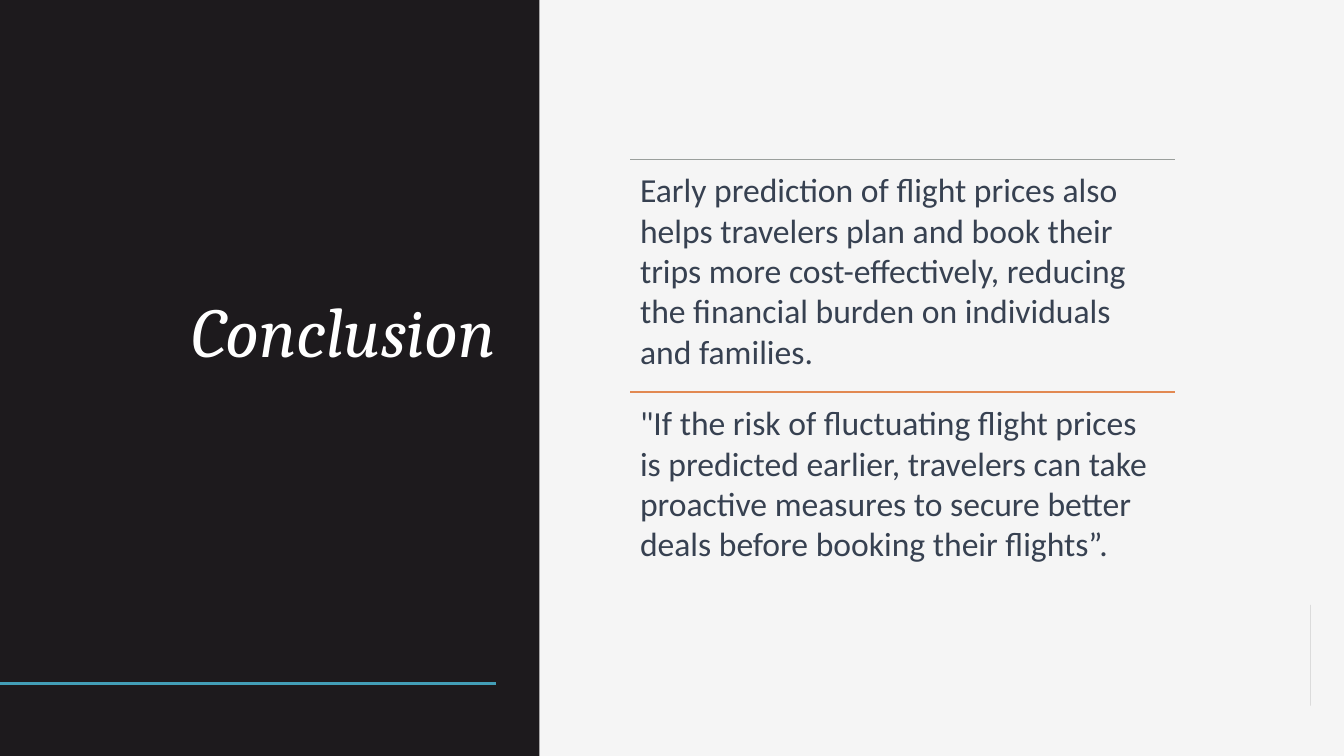
from math import cos, pi, sin

from lxml import etree
from pptx import Presentation
from pptx.dml.color import RGBColor
from pptx.enum.shapes import MSO_CONNECTOR, MSO_SHAPE
from pptx.enum.text import MSO_ANCHOR, PP_ALIGN
from pptx.oxml.ns import qn
from pptx.util import Inches, Pt

STRAIGHT = MSO_CONNECTOR.STRAIGHT
RECTANGLE = MSO_SHAPE.RECTANGLE
TOP, MIDDLE, BOTTOM = MSO_ANCHOR.TOP, MSO_ANCHOR.MIDDLE, MSO_ANCHOR.BOTTOM
LEFT, RIGHT = PP_ALIGN.LEFT, PP_ALIGN.RIGHT

PAPER = RGBColor(0xF5, 0xF5, 0xF5)
PANEL = RGBColor(0x1D, 0x1A, 0x1D)
BADGE = RGBColor(0x26, 0x26, 0x26)
TEAL = RGBColor(0x43, 0x9E, 0xB7)
GREY = RGBColor(0x9A, 0x9F, 0x9C)
ORANGE = RGBColor(0xE2, 0x89, 0x52)
WHITE = RGBColor(0xFF, 0xFF, 0xFF)
SLATE = RGBColor(0x37, 0x41, 0x51)

SLIDE_WIDTH, SLIDE_HEIGHT = 13.33, 7.5
BASELINE = 6.78
CONCLUSIONS = [
    ("Early prediction of flight prices also helps travelers plan and book their "
     "trips more cost-effectively, reducing the financial burden on individuals "
     "and families.", GREY),
    ("\"If the risk of fluctuating flight prices is predicted earlier, travelers "
     "can take proactive measures to secure better deals before booking their "
     "flights”.", ORANGE),
]


def add_rule(slide, left, top, width, color, weight):
    rule = slide.shapes.add_connector(
        STRAIGHT, Inches(left), Inches(top), Inches(left + width), Inches(top))
    rule.line.color.rgb = color
    rule.line.width = Pt(weight)
    etree.SubElement(rule.line._get_or_add_ln().getparent(), qn("a:effectLst"))


def add_text(slide, box, text, font, size, color, align=LEFT, anchor=TOP,
             italic=False, margin=0.05, spacing=1.0):
    frame = slide.shapes.add_textbox(*map(Inches, box)).text_frame
    frame.word_wrap = True
    frame.vertical_anchor = anchor
    frame.margin_left = frame.margin_right = Inches(0.1)
    frame.margin_top = frame.margin_bottom = Inches(margin)
    paragraph = frame.paragraphs[0]
    paragraph.text = text
    paragraph.alignment = align
    paragraph.line_spacing = spacing
    paragraph.font.name = font
    paragraph.font.size = Pt(size)
    paragraph.font.italic = italic
    paragraph.font.color.rgb = color


def paint(shape, color):
    shape.shadow.inherit = False
    shape.fill.solid()
    shape.fill.fore_color.rgb = color
    shape.line.fill.background()


def add_title_panel(slide, left, top, width, height):
    panel = slide.shapes.add_shape(
        RECTANGLE, *map(Inches, (left, top, width, height)))
    paint(panel, PANEL)
    add_rule(slide, left, top + BASELINE, width * 0.92, TEAL, 2)
    title_box = (left + 0.83, top + 0.84, 4.19, 2.91)
    add_text(slide, title_box, "Conclusion", "Cambria", 50, WHITE,
             RIGHT, BOTTOM, italic=True, spacing=0.9)


def add_page_badge(slide, left, top, radius, number):
    steps = 48
    arc = [(left + radius - radius * sin(pi * step / steps),
            top + radius - radius * cos(pi * step / steps))
           for step in range(steps + 1)]
    outline = slide.shapes.build_freeform(*arc[0], scale=Inches(1))
    outline.add_line_segments(arc[1:], close=True)
    paint(outline.convert_to_shape(), BADGE)
    add_text(slide, (left, top + radius - 0.2, radius, 0.4), number,
             "Cambria", 12, PAPER, RIGHT, MIDDLE, italic=True)


def add_conclusions(slide, left, top, width, height):
    row_height = height / len(CONCLUSIONS)
    for row, (statement, color) in enumerate(CONCLUSIONS):
        row_top = top + row * row_height
        add_rule(slide, left, row_top, width, color, 1)
        add_text(slide, (left, row_top, width, row_height), statement,
                 "Calibri", 24, SLATE, margin=0.1)


def main():
    deck = Presentation()
    deck.slide_width = Inches(SLIDE_WIDTH)
    deck.slide_height = Inches(SLIDE_HEIGHT)
    slide = deck.slides.add_slide(deck.slide_layouts[6])
    slide.background.fill.solid()
    slide.background.fill.fore_color.rgb = PAPER
    add_title_panel(slide, 0, 0, 5.35, SLIDE_HEIGHT)
    add_page_badge(slide, SLIDE_WIDTH - 0.45, BASELINE - 0.9, 0.45, "16")
    add_conclusions(slide, 6.25, 1.58, 5.4, 4.62)
    deck.save("out.pptx")


if __name__ == "__main__":
    main()
